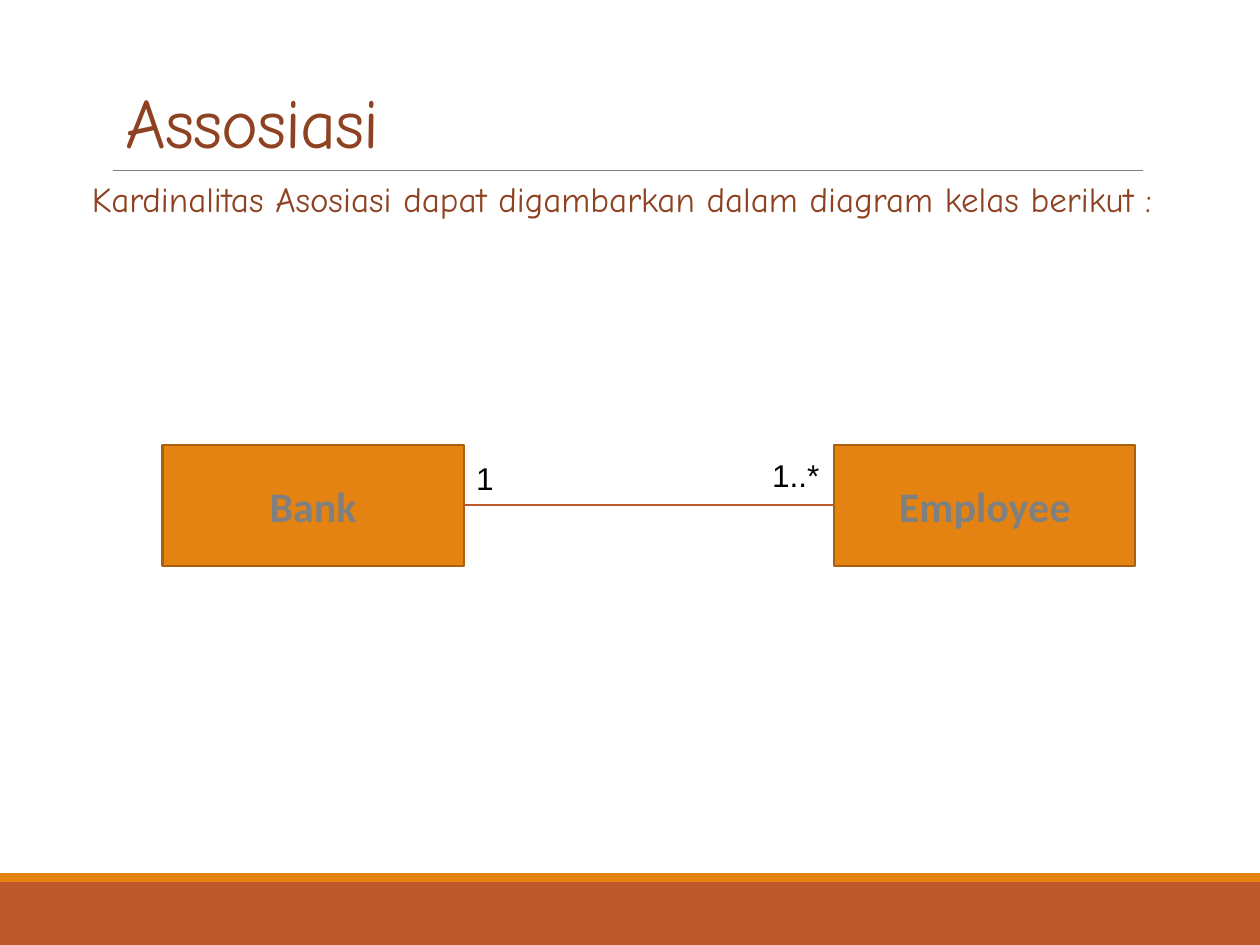
import pptx
import pptx.util
import pptx.dml.color
import pptx.enum.shapes
import pptx.enum.text
import pptx.oxml.ns
import lxml.etree

Inches = pptx.util.Inches
Pt = pptx.util.Pt
RGBColor = pptx.dml.color.RGBColor
ALIGN = pptx.enum.text.PP_ALIGN
ANCHOR = pptx.enum.text.MSO_ANCHOR
SHAPE = pptx.enum.shapes.MSO_SHAPE
CONNECTOR = pptx.enum.shapes.MSO_CONNECTOR

RUST = RGBColor(0xBD, 0x58, 0x2C)
ORANGE = RGBColor(0xE4, 0x83, 0x12)
BROWN = RGBColor(0x8E, 0x42, 0x21)
BORDER = RGBColor(0xA9, 0x61, 0x0D)
GRAY = RGBColor(0x80, 0x80, 0x80)
BLACK = RGBColor(0, 0, 0)

WIDTH, HEIGHT = 10, 7.5
TITLE = "Assosiasi"
BODY = "Kardinalitas Asosiasi dapat digambarkan dalam diagram kelas berikut :"
FOOTER_BANDS = [(7, 0.5, RUST), (6.93, 0.07, ORANGE)]
CLASSES = [("Bank", 1.29), ("Employee", 6.62)]
CLASS_TOP, CLASS_WIDTH, CLASS_HEIGHT = 3.53, 2.39, 0.96
CARDINALITIES = [("1", 3.68, 3.59, 0.34), ("1..*", 6.03, 3.57, 0.58)]


def add_run(paragraph, text, size, font, color, bold=False):
    run = paragraph.add_run()
    run.text = text
    run.font.size = Pt(size)
    run.font.name = font
    run.font.color.rgb = color
    run.font.bold = bold
    return run


def add_rectangle(slide, left, top, width, height, fill, border=None):
    shape = slide.shapes.add_shape(
        SHAPE.RECTANGLE, Inches(left), Inches(top), Inches(width), Inches(height))
    shape.shadow.inherit = False
    shape.fill.solid()
    shape.fill.fore_color.rgb = fill
    if border is None:
        shape.line.fill.background()
    else:
        shape.line.color.rgb = border
        shape.line.width = Pt(1.25)
    return shape


def add_line(slide, start, end, color, width):
    line = slide.shapes.add_connector(
        CONNECTOR.STRAIGHT, *[Inches(value) for value in (*start, *end)])
    line.line.color.rgb = color
    line.line.width = Pt(width)
    properties = line._element.spPr
    lxml.etree.SubElement(properties, pptx.oxml.ns.qn("a:effectLst"))
    return line


def add_text_frame(slide, left, top, width, height, wrap=True):
    box = slide.shapes.add_textbox(
        Inches(left), Inches(top), Inches(width), Inches(height))
    box.text_frame.word_wrap = wrap
    return box.text_frame


def add_blank_bullet(paragraph):
    properties = paragraph._p.get_or_add_pPr()
    indent = Inches(0.1)
    properties.set("marL", str(indent))
    properties.set("indent", str(-indent))
    color = lxml.etree.SubElement(properties, pptx.oxml.ns.qn("a:buClr"))
    lxml.etree.SubElement(color, pptx.oxml.ns.qn("a:srgbClr"), val=str(ORANGE))
    lxml.etree.SubElement(properties, pptx.oxml.ns.qn("a:buChar"), char=" ")


def add_heading(slide):
    frame = add_text_frame(slide, 0.9, 0.31, 8.25, 1.03)
    frame.vertical_anchor = ANCHOR.BOTTOM
    paragraph = frame.paragraphs[0]
    paragraph.line_spacing = 0.85
    run = add_run(paragraph, TITLE, 40, "Comic Neue", BROWN)
    run.font._element.set("spc", "-50")


def add_body(slide):
    frame = add_text_frame(slide, 0.59, 1.4, 9.27, 4.95)
    frame.margin_left = frame.margin_right = 0
    paragraph = frame.paragraphs[0]
    paragraph.alignment = ALIGN.JUSTIFY
    paragraph.line_spacing = 0.9
    paragraph.space_before = Pt(12)
    paragraph.space_after = Pt(2)
    add_blank_bullet(paragraph)
    add_run(paragraph, BODY, 20, "Comic Neue", BROWN)


def add_class(slide, name, left):
    shape = add_rectangle(
        slide, left, CLASS_TOP, CLASS_WIDTH, CLASS_HEIGHT, ORANGE, BORDER)
    shape.text_frame.vertical_anchor = ANCHOR.MIDDLE
    paragraph = shape.text_frame.paragraphs[0]
    paragraph.alignment = ALIGN.CENTER
    add_run(paragraph, name, 24, "Calibri", GRAY, True)
    return shape


def add_diagram(slide):
    bank, employee = [add_class(slide, *item) for item in CLASSES]
    middle = CLASS_TOP + CLASS_HEIGHT / 2
    association = add_line(
        slide, (CLASSES[0][1] + CLASS_WIDTH, middle), (CLASSES[1][1], middle), RUST, 1)
    association.begin_connect(bank, 3)
    association.end_connect(employee, 1)
    for text, left, top, width in CARDINALITIES:
        frame = add_text_frame(slide, left, top, width, 0.4, wrap=False)
        frame.auto_size = pptx.enum.text.MSO_AUTO_SIZE.SHAPE_TO_FIT_TEXT
        add_run(frame.paragraphs[0], text, 18, "Arial", BLACK)


def main():
    presentation = pptx.Presentation()
    presentation.slide_width = Inches(WIDTH)
    presentation.slide_height = Inches(HEIGHT)
    slide = presentation.slides.add_slide(presentation.slide_layouts[6])
    for top, height, color in FOOTER_BANDS:
        add_rectangle(slide, 0, top, WIDTH, height, color)
    add_line(slide, (0.9, 1.35), (9.07, 1.35), GRAY, 0.5)
    add_heading(slide)
    add_body(slide)
    add_diagram(slide)
    presentation.save("out.pptx")


if __name__ == "__main__":
    main()
